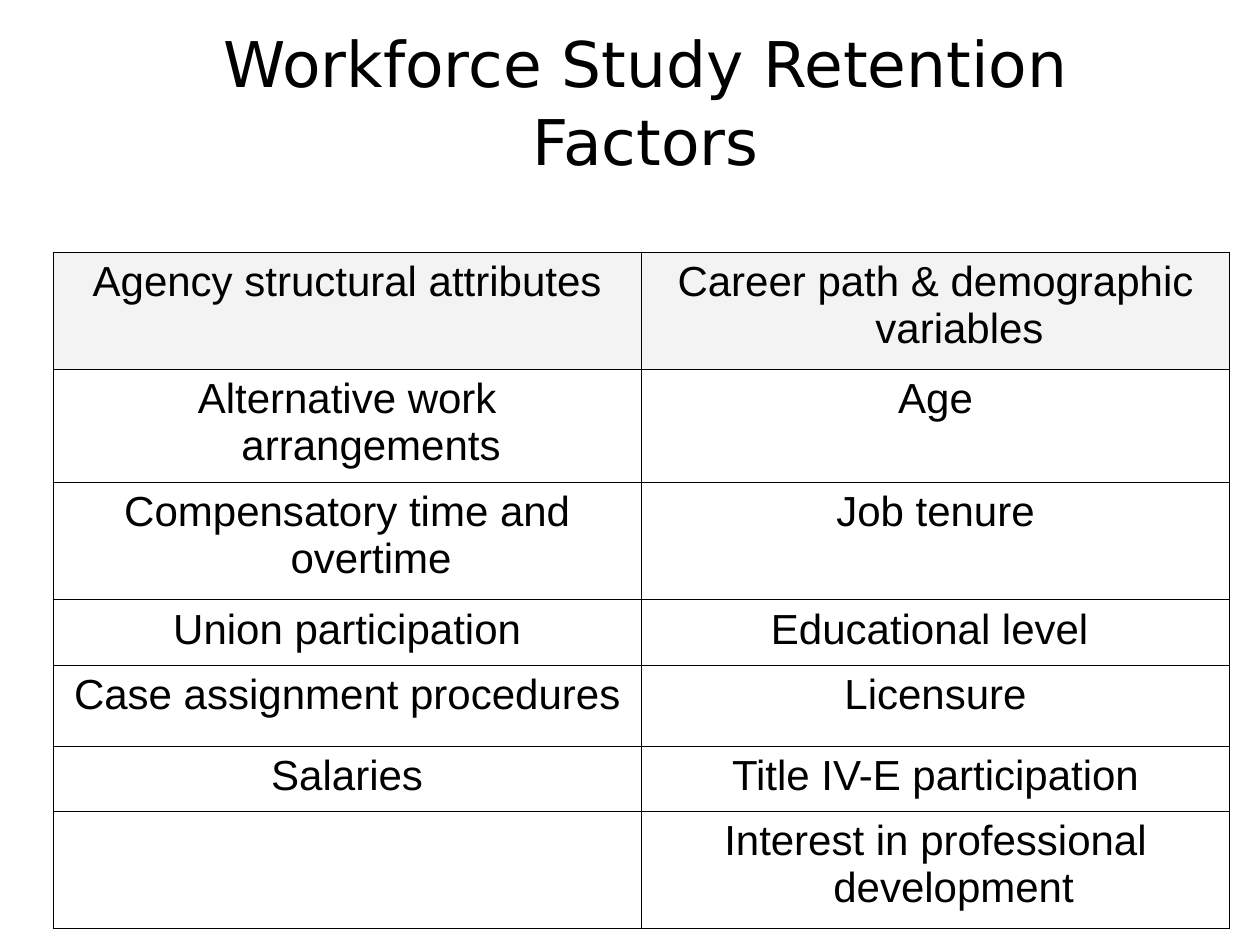
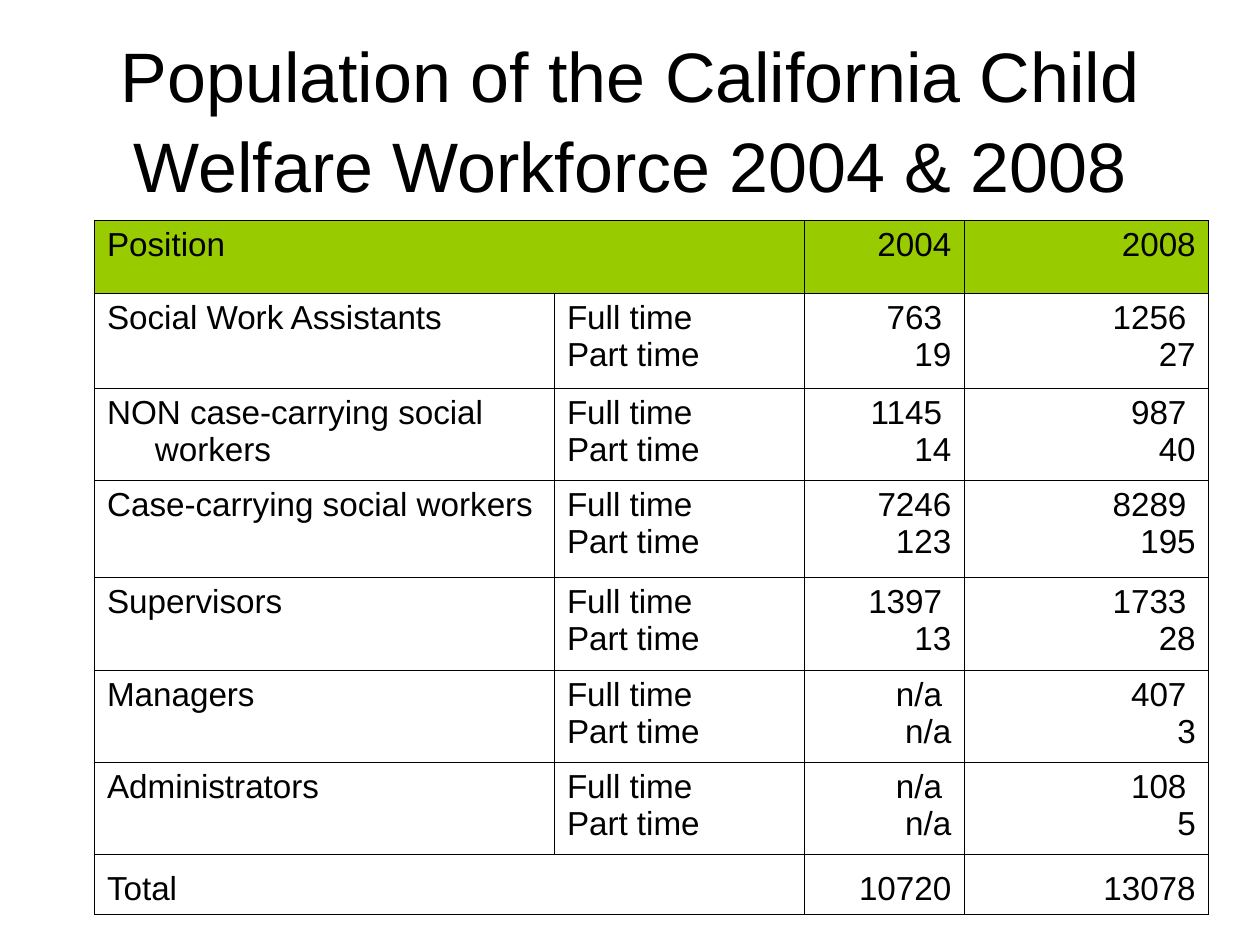
import pptx
import pptx.util
import pptx.dml.color
import pptx.enum.text
import pptx.oxml
import pptx.oxml.ns

Inches, Pt = pptx.util.Inches, pptx.util.Pt
ALIGN = pptx.enum.text.PP_ALIGN
ANCHOR = pptx.enum.text.MSO_ANCHOR

COLORS = {"text": "000000", "border": "000000", "gray": "F3F3F3", "green": "99CC00"}
BODY_FONT = "Arial"
HANGING_INDENT = 0.38
BORDER_WIDTH = 0.45
HOURS = "Full time\nPart time"

RETENTION_ROWS = [
    ("Agency structural attributes", "Career path & demographic variables"),
    ("Alternative work arrangements", "Age"),
    ("Compensatory time and overtime", "Job tenure"),
    ("Union participation", "Educational level "),
    ("Case assignment procedures", "Licensure"),
    ("Salaries", "Title IV-E participation"),
    ("", "Interest in professional development "),
]
POPULATION_ROWS = [
    ("Position", "", "2004", "2008"),
    ("Social Work Assistants", HOURS, "763 \n19", "1256 \n27"),
    ("NON case-carrying social workers", HOURS, "1145 \n14", "987 \n40"),
    ("Case-carrying social workers", HOURS, "7246 123", "8289 \n195"),
    ("Supervisors", HOURS, "1397 \n13", "1733 \n28"),
    ("Managers", HOURS, "n/a \nn/a", "407 \n3"),
    ("Administrators", HOURS, "n/a \nn/a", "108 \n5"),
    ("Total", "", "10720", "13078"),
]
SLIDES = [
    {
        "title": "Workforce Study Retention Factors",
        "title_box": (0.75, 0.17, 8.75, 1.25),
        "title_font": ("DejaVu Sans", 36), "title_spacing": 1.03,
        "rows": RETENTION_ROWS, "corner": (0.42, 2),
        "widths": [4.67, 4.67],
        "heights": [0.93, 0.9, 0.93, 0.52, 0.64, 0.52, 0.93],
        "alignments": [ALIGN.CENTER] * 2,
        "size": 24, "header": "gray", "merged_rows": [], "total_row": None,
    },
    {
        "title": "Population of the California Child Welfare Workforce 2004 & 2008",
        "title_box": (0.5, 0.3, 9, 1.25),
        "title_font": (BODY_FONT, 40), "title_spacing": 1.07,
        "rows": POPULATION_ROWS, "corner": (0.75, 1.75),
        "widths": [3.65, 1.98, 1.27, 1.94],
        "heights": [0.58, 0.75, 0.73, 0.77, 0.73, 0.73, 0.73, 0.47],
        "alignments": [ALIGN.LEFT] * 2 + [ALIGN.RIGHT] * 2,
        "size": 19, "header": "green", "merged_rows": [0, 7], "total_row": 7,
    },
]


def color(name):
    return pptx.dml.color.RGBColor.from_string(COLORS[name])


def format_paragraph(paragraph, font, size, alignment):
    paragraph.alignment = alignment
    for run in paragraph.runs:
        run.font.name = font
        run.font.size = Pt(size)
        run.font.color.rgb = color("text")


def add_title(slide, content):
    box = slide.shapes.add_textbox(*map(Inches, content["title_box"]))
    frame = box.text_frame
    frame.word_wrap = True
    frame.vertical_anchor = ANCHOR.MIDDLE
    frame.text = content["title"]
    paragraph = frame.paragraphs[0]
    paragraph.line_spacing = content["title_spacing"]
    format_paragraph(paragraph, *content["title_font"], ALIGN.CENTER)


def set_borders(cell):
    properties = cell._tc.get_or_add_tcPr()
    for position, side in enumerate(("lnL", "lnR", "lnT", "lnB")):
        line = pptx.oxml.parse_xml(
            f'<a:{side} {pptx.oxml.ns.nsdecls("a")} w="{Pt(BORDER_WIDTH)}">'
            f'<a:solidFill><a:srgbClr val="{COLORS["border"]}"/></a:solidFill></a:{side}>')
        properties.insert(position, line)


def set_hanging_indent(paragraph):
    properties = paragraph._p.get_or_add_pPr()
    properties.set("marL", str(Inches(HANGING_INDENT)))
    properties.set("indent", str(-Inches(HANGING_INDENT)))


def fill_cell(cell, text, content, row, column):
    if row == 0:
        cell.fill.solid()
        cell.fill.fore_color.rgb = color(content["header"])
    else:
        cell.fill.background()
    set_borders(cell)
    cell.text_frame.text = text
    is_total = row == content["total_row"]
    if is_total:
        cell.vertical_anchor = ANCHOR.BOTTOM
    for paragraph in cell.text_frame.paragraphs:
        format_paragraph(paragraph, BODY_FONT, content["size"], content["alignments"][column])
        if is_total and column == 0:
            paragraph.space_before = Pt(4.8)
        else:
            set_hanging_indent(paragraph)


def add_table(slide, content):
    rows, widths, heights = content["rows"], content["widths"], content["heights"]
    lengths = (*content["corner"], sum(widths), sum(heights))
    table = slide.shapes.add_table(len(rows), len(widths), *map(Inches, lengths)).table
    table.first_row = table.horz_banding = False
    for column, width in zip(table.columns, widths):
        column.width = Inches(width)
    for row, height in zip(table.rows, heights):
        row.height = Inches(height)
    for row, texts in enumerate(rows):
        for column, text in enumerate(texts):
            fill_cell(table.cell(row, column), text, content, row, column)
    for row in content["merged_rows"]:
        table.cell(row, 0).merge(table.cell(row, 1))


def main():
    presentation = pptx.Presentation()
    presentation.slide_width = Inches(10)
    presentation.slide_height = Inches(7.5)
    for content in SLIDES:
        slide = presentation.slides.add_slide(presentation.slide_layouts[6])
        add_title(slide, content)
        add_table(slide, content)
    presentation.save("out.pptx")


if __name__ == "__main__":
    main()
